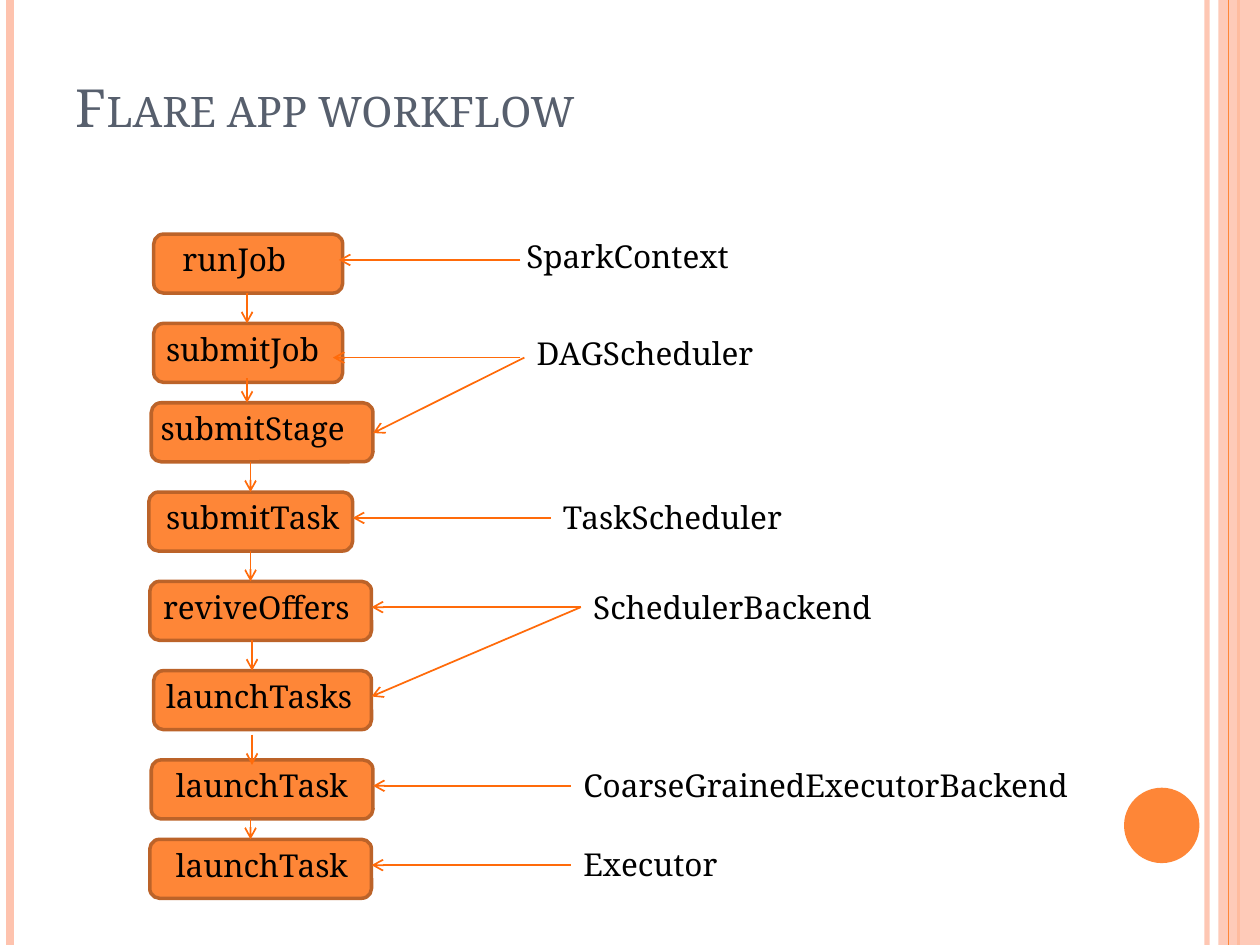
from lxml.etree import SubElement
from pptx import Presentation
from pptx.dml.color import RGBColor
from pptx.enum.shapes import MSO_CONNECTOR, MSO_SHAPE
from pptx.enum.text import MSO_ANCHOR, MSO_AUTO_SIZE, PP_ALIGN
from pptx.oxml.ns import qn
from pptx.util import Cm, Pt

TITLE = "Flare app workflow"
FONT = "Noto Serif"
COLORS = {"accent": "FE8637", "border": "BC6329", "arrow": "FF6B0A",
          "pale": "FEC3AE", "title": "575F6D", "text": "000000"}
WIDTH, HEIGHT = 25.4, 19.05

# All lengths are in centimetres.
BOX_TOP, BOX_HEIGHT = 4.72, 1.19
TEXT_HEIGHT = 1.02
# name, left, width, text inset, distance to the next box
STEPS = [
    ("runJob", 3.1, 3.81, 0.52, 1.8),
    ("submitJob", 3.1, 3.81, 0.19, 1.6),
    ("submitStage", 3.05, 4.47, 0.13, 1.8),
    ("submitTask", 3.0, 4.11, 0.29, 1.8),
    ("reviveOffers", 3.02, 4.47, 0.21, 1.8),
    ("launchTasks", 3.1, 4.39, 0.19, 1.8),
    ("launchTask", 3.05, 4.47, 0.44, 1.6),
    ("launchTask", 3.02, 4.47, 0.47, 0),
]
# x, shift of the start, shift of the end for the arrow below each box
DOWN_ARROWS = [(4.98, 0, 0), (4.98, -0.08, 0), (5.05, 0, 0), (5.05, 0, 0),
               (5.08, 0, 0), (5.08, 0.1, 0.1), (5.05, 0, 0)]
# name, left, width, rise of the label above its arrow, arrows:
# (start x, box at start height, start drop, box hit, hit drop, overlap)
CALLERS = [
    ("SparkContext", 10.36, 4.6, 0.58, [(10.49, 0, 0.52, 0, 0.52, 0.08)]),
    ("DAGScheduler", 10.57, 5.41, 0.61, [(10.49, 1, 0.69, 1, 0.69, 0.2),
                                         (10.57, 1, 0.69, 2, 0.61, 0)]),
    ("TaskScheduler", 11.1, 5.41, 0.52, [(11.1, 3, 0.52, 3, 0.52, 0)]),
    ("SchedulerBackend", 11.71, 7.19, 0.52, [(11.71, 4, 0.52, 4, 0.52, 0),
                                             (11.71, 4, 0.52, 5, 0.52, 0)]),
    ("CoarseGrainedExecutorBackend", 11.51, 10.59, 0.52,
     [(11.51, 6, 0.52, 6, 0.52, 0)]),
    ("Executor", 11.51, 6.2, 0.52, [(11.51, 7, 0.52, 7, 0.52, 0)]),
]
# x, colour, line width in points, opacity in percent
EDGE_LINES = [(24.33, "pale", 3, 93), (0.2, "pale", 4.5, 100),
              (24.97, "accent", 1.5, 100)]
BAND = (24.56, 0, 0.84, HEIGHT)
BAND_LINE = (24.77, "accent", 0.75, 100)
DISC = (22.66, 15.88, 1.52, 1.52)


def rgb(name):
    """Return the named colour."""
    return RGBColor.from_string(COLORS[name])


def set_opacity(element, percent):
    """Make the solid colour inside an element partly transparent."""
    color = element.find(".//" + qn("a:srgbClr"))
    SubElement(color, qn("a:alpha"), val=str(percent * 1000))


def add_line(page, start, end, color, points, opacity=100, arrow=False):
    """Draw a straight line, with an arrowhead at its end if asked."""
    line = page.shapes.add_connector(
        MSO_CONNECTOR.STRAIGHT, *(Cm(v) for v in (*start, *end)))
    line.line.color.rgb = rgb(color)
    line.line.width = Pt(points)
    properties = line._element.spPr
    if opacity < 100:
        set_opacity(properties, opacity)
    if arrow:
        SubElement(properties.find(qn("a:ln")), qn("a:tailEnd"), type="arrow")
    SubElement(properties, qn("a:effectLst"))


def add_shape(page, kind, place, fill, border=None):
    """Add a flat filled shape, with a border if a colour is given."""
    shape = page.shapes.add_shape(kind, *(Cm(v) for v in place))
    shape.shadow.inherit = False
    shape.fill.solid()
    shape.fill.fore_color.rgb = rgb(fill)
    if border:
        shape.line.color.rgb = rgb(border)
        shape.line.width = Pt(2)
    else:
        shape.line.fill.background()
    return shape


def write(box, text, size, color, **frame_format):
    """Write one left-aligned line of text into a shape."""
    frame = box.text_frame
    for name, value in frame_format.items():
        setattr(frame, name, value)
    para = frame.paragraphs[0]
    para.alignment = PP_ALIGN.LEFT
    span = para.add_run()
    span.text = text
    span.font.color.rgb = rgb(color)
    for name, value in {"name": FONT, "size": Pt(size)}.items():
        setattr(span.font, name, value)
    return span


def add_decoration(page):
    """Draw the side stripes and the disc."""
    for x, *style in EDGE_LINES:
        add_line(page, (x, 0), (x, HEIGHT), *style)
    band = add_shape(page, MSO_SHAPE.RECTANGLE, BAND, "pale")
    set_opacity(band._element.spPr, 87)
    x, *style = BAND_LINE
    add_line(page, (x, 0), (x, HEIGHT), *style)
    add_shape(page, MSO_SHAPE.OVAL, DISC, "accent")


def add_title(page):
    """Place and format the title."""
    title = page.shapes.title
    place = {"left": 1.27, "top": 0.76, "width": 20.75, "height": 2.16}
    for name, value in place.items():
        setattr(title, name, Cm(value))
    span = write(title, TITLE, 30, "title", vertical_anchor=MSO_ANCHOR.BOTTOM,
                 auto_size=MSO_AUTO_SIZE.NONE, word_wrap=True)
    span.font._element.set("cap", "small")


def add_steps(page, tops):
    """Draw the column of calls and the arrows between them."""
    for (name, left, width, inset, _), top in zip(STEPS, tops):
        box = add_shape(page, MSO_SHAPE.ROUNDED_RECTANGLE,
                        (left, top, width, BOX_HEIGHT), "accent", "border")
        write(box, name, 18, "text", vertical_anchor=MSO_ANCHOR.TOP,
              word_wrap=False, margin_left=Cm(inset), margin_right=0,
              margin_top=Cm(0.07))
    for (x, start, end), top, below in zip(DOWN_ARROWS, tops, tops[1:]):
        add_line(page, (x, top + BOX_HEIGHT + start), (x, below + end),
                 "arrow", 1, arrow=True)


def add_callers(page, tops):
    """Write the class names and point each at its calls."""
    for name, left, width, rise, arrows in CALLERS:
        for x, source, drop, target, hit_drop, overlap in arrows:
            right = STEPS[target][1] + STEPS[target][2]
            y = tops[source] + drop
            add_line(page, (x, y), (right - overlap, tops[target] + hit_drop),
                     "arrow", 1, arrow=True)
        box = page.shapes.add_textbox(
            Cm(left), Cm(y - rise), Cm(width), Cm(TEXT_HEIGHT))
        write(box, name, 18, "text", word_wrap=True)


deck = Presentation()
deck.slide_width, deck.slide_height = Cm(WIDTH), Cm(HEIGHT)
page = deck.slides.add_slide(deck.slide_layouts[5])
box_tops = [BOX_TOP + sum(step[4] for step in STEPS[:i])
            for i in range(len(STEPS))]
add_decoration(page)
add_title(page)
add_steps(page, box_tops)
add_callers(page, box_tops)
deck.save("out.pptx")
